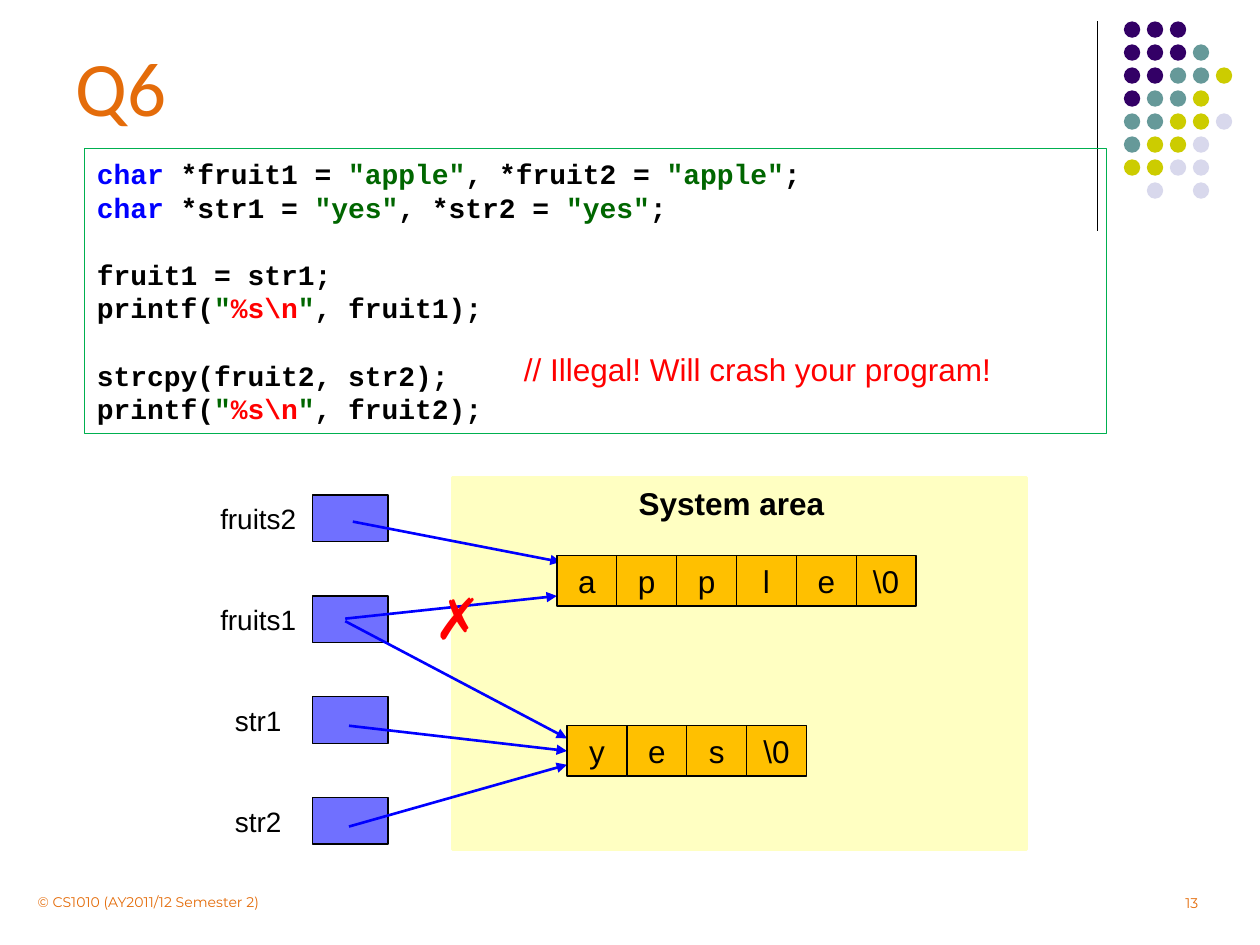
from dataclasses import dataclass

from lxml.etree import SubElement
from pptx import Presentation
from pptx.dml.color import RGBColor
from pptx.enum.shapes import MSO_CONNECTOR, MSO_SHAPE
from pptx.enum.text import MSO_ANCHOR, PP_ALIGN
from pptx.oxml.ns import qn
from pptx.util import Inches, Pt

COLORS = {
    "black": "000000", "orange": "E46C0A", "purple": "330066", "teal": "669999",
    "lime": "CCCC00", "lilac": "D8D8EC", "variable": "7070FF", "area": "FFFFC2",
    "cell": "FFC000", "arrow": "0000FF", "frame": "00B050",
    "keyword": "0000FF", "string": "006600", "red": "FF0000",
}
DOT_COLORS = {"P": "purple", "T": "teal", "L": "lime", "W": "lilac"}
DOT_ROWS = ["PPP", "PPPT", "PPTTL", "PTTL", "TTLLW", "TLLW", "LLWW", " W W"]
DOT_PITCH = 0.73 / 4
CELL_PITCH = 2.85 / 6
VARIABLE_PITCH = 0.8
CODE_SIZE, CODE_PITCH = 16, 19.2


@dataclass(frozen=True)
class Box:
    left: float
    top: float
    width: float
    height: float


@dataclass(frozen=True)
class Style:
    size: float
    color: str = "black"
    font: str = "Arial"
    bold: bool = False
    align: PP_ALIGN = PP_ALIGN.CENTER
    anchor: MSO_ANCHOR = MSO_ANCHOR.MIDDLE
    inset: float = 0.1


@dataclass(frozen=True)
class Label:
    text: str
    box: Box
    style: Style


@dataclass(frozen=True)
class Arrow:
    start: tuple[float, float]
    end: tuple[float, float]


@dataclass(frozen=True)
class CodeLine:
    spans: list[tuple[str, str]]
    gap_before: bool = False


def rgb(name: str) -> RGBColor:
    return RGBColor.from_string(COLORS[name])


def place(box: Box) -> tuple:
    return tuple(Inches(n) for n in (box.left, box.top, box.width, box.height))


def add_span(para, text: str, style: Style, color: str) -> None:
    span = para.add_run()
    span.text = text
    span.font.name = style.font
    span.font.size = Pt(style.size)
    span.font.bold = style.bold
    span.font.color.rgb = rgb(color)


def set_frame(frame, style: Style) -> None:
    frame.word_wrap = True
    frame.vertical_anchor = style.anchor
    frame.margin_left = frame.margin_right = Inches(style.inset)
    frame.margin_top = frame.margin_bottom = Inches(style.inset / 2)


def write(frame, text: str, style: Style) -> None:
    set_frame(frame, style)
    para = frame.paragraphs[0]
    para.alignment = style.align
    add_span(para, text, style, style.color)


def add_label(page, label: Label) -> None:
    write(page.shapes.add_textbox(*place(label.box)).text_frame, label.text, label.style)


def add_block(page, kind: MSO_SHAPE, box: Box, fill: str | None, line: str | None,
              weight: float = 0.75):
    block = page.shapes.add_shape(kind, *place(box))
    block.shadow.inherit = False
    if fill:
        block.fill.solid()
        block.fill.fore_color.rgb = rgb(fill)
    else:
        block.fill.background()
    if line:
        block.line.color.rgb = rgb(line)
        block.line.width = Pt(weight)
    else:
        block.line.fill.background()
    return block


def add_line(page, start: tuple[float, float], end: tuple[float, float],
             color: str, weight: float):
    line = page.shapes.add_connector(
        MSO_CONNECTOR.STRAIGHT, *(Inches(n) for n in (*start, *end)))
    line.line.color.rgb = rgb(color)
    line.line.width = Pt(weight)
    SubElement(line._element.spPr, qn("a:effectLst"))
    return line


def add_arrow(page, arrow: Arrow) -> None:
    line = add_line(page, arrow.start, arrow.end, "arrow", 1.5)
    SubElement(line.line._get_or_add_ln(), qn("a:tailEnd"), type="triangle")


def add_cells(page, letters: list[str], left: float, top: float) -> None:
    for column, letter in enumerate(letters):
        box = Box(left + column * CELL_PITCH, top, CELL_PITCH, 0.4)
        cell = add_block(page, MSO_SHAPE.RECTANGLE, box, "cell", "black")
        write(cell.text_frame, letter, Style(18, inset=0))


def add_code(page, box: Box, lines: list[CodeLine]) -> None:
    style = Style(CODE_SIZE, font="Courier New", bold=True)
    frame = add_block(page, MSO_SHAPE.RECTANGLE, box, None, "frame").text_frame
    set_frame(frame, style)
    for index, line in enumerate(lines):
        para = frame.add_paragraph() if index else frame.paragraphs[0]
        para.alignment = PP_ALIGN.LEFT
        para.line_spacing = Pt(CODE_PITCH)
        para.space_before = Pt(CODE_PITCH if line.gap_before else 0)
        for text, color in line.spans:
            add_span(para, text, style, color)


def declare(first: str, second: str, value: str) -> CodeLine:
    return CodeLine([("char", "keyword"), (f" *{first} = ", "black"),
                     (f'"{value}"', "string"), (f", *{second} = ", "black"),
                     (f'"{value}"', "string"), (";", "black")])


def print_call(name: str) -> CodeLine:
    return CodeLine([("printf(", "black"), ('"', "string"), ("%s\\n", "red"),
                     ('"', "string"), (f", {name});", "black")])


CODE = [
    declare("fruit1", "fruit2", "apple"),
    declare("str1", "str2", "yes"),
    CodeLine([("fruit1 = str1;", "black")], gap_before=True),
    print_call("fruit1"),
    CodeLine([("strcpy(fruit2, str2);", "black")], gap_before=True),
    print_call("fruit2"),
]
ARROWS = [
    Arrow((2.8, 4.14), (4.45, 4.46)),
    Arrow((2.74, 4.91), (4.42, 4.73)),
    Arrow((2.74, 4.93), (4.5, 5.86)),
    Arrow((2.77, 5.76), (4.5, 5.96)),
    Arrow((2.77, 6.56), (4.5, 6.07)),
]
LEFT, RIGHT = PP_ALIGN.LEFT, PP_ALIGN.RIGHT
LABELS = [
    Label("Q6", Box(0.5, 0.25, 9, 0.86), Style(44, "orange", "Calibri", align=LEFT)),
    Label("System area", Box(4.67, 3.79, 2.27, 0.4), Style(18, bold=True)),
    Label("✗", Box(3.35, 4.47, 0.57, 0.77), Style(40, "red", "Courier New", True)),
    Label("// Illegal! Will crash your program!", Box(4.06, 2.73, 4.02, 0.4),
          Style(18, "red", align=LEFT)),
    Label("© CS1010 (AY2011/12 Semester 2)", Box(0.2, 7.04, 2.75, 0.24),
          Style(8, "orange", "Montserrat", align=LEFT)),
    Label("13", Box(9, 7.03, 0.51, 0.2),
          Style(8, "orange", "Montserrat", align=RIGHT, anchor=MSO_ANCHOR.BOTTOM, inset=0)),
]

deck = Presentation()
deck.slide_width, deck.slide_height = Inches(10), Inches(7.5)
page = deck.slides.add_slide(deck.slide_layouts[6])

add_line(page, (8.71, 0.17), (8.71, 1.83), "black", 0.75)
for row, dots in enumerate(DOT_ROWS):
    for column, dot in enumerate(dots):
        if dot in DOT_COLORS:
            spot = Box(8.92 + column * DOT_PITCH, 0.17 + row * DOT_PITCH, 0.13, 0.13)
            add_block(page, MSO_SHAPE.OVAL, spot, DOT_COLORS[dot], None)

add_block(page, MSO_SHAPE.RECTANGLE, Box(3.59, 3.79, 4.56, 2.95), "area", "area", 1.5)
for row, name in enumerate(["fruits2", "fruits1", "str1", "str2"]):
    top = 3.93 + row * VARIABLE_PITCH
    add_label(page, Label(name, Box(1.58, top, 0.94, 0.37), Style(16)))
    add_block(page, MSO_SHAPE.RECTANGLE, Box(2.48, top, 0.6, 0.37), "variable", "black")
for arrow in ARROWS:
    add_arrow(page, arrow)
add_cells(page, ["a", "p", "p", "l", "e", "\\0"], 4.42, 4.41)
add_cells(page, ["y", "e", "s", "\\0"], 4.5, 5.76)
add_code(page, Box(0.67, 1.18, 8.11, 2.26), CODE)
for label in LABELS:
    add_label(page, label)

deck.save("out.pptx")
